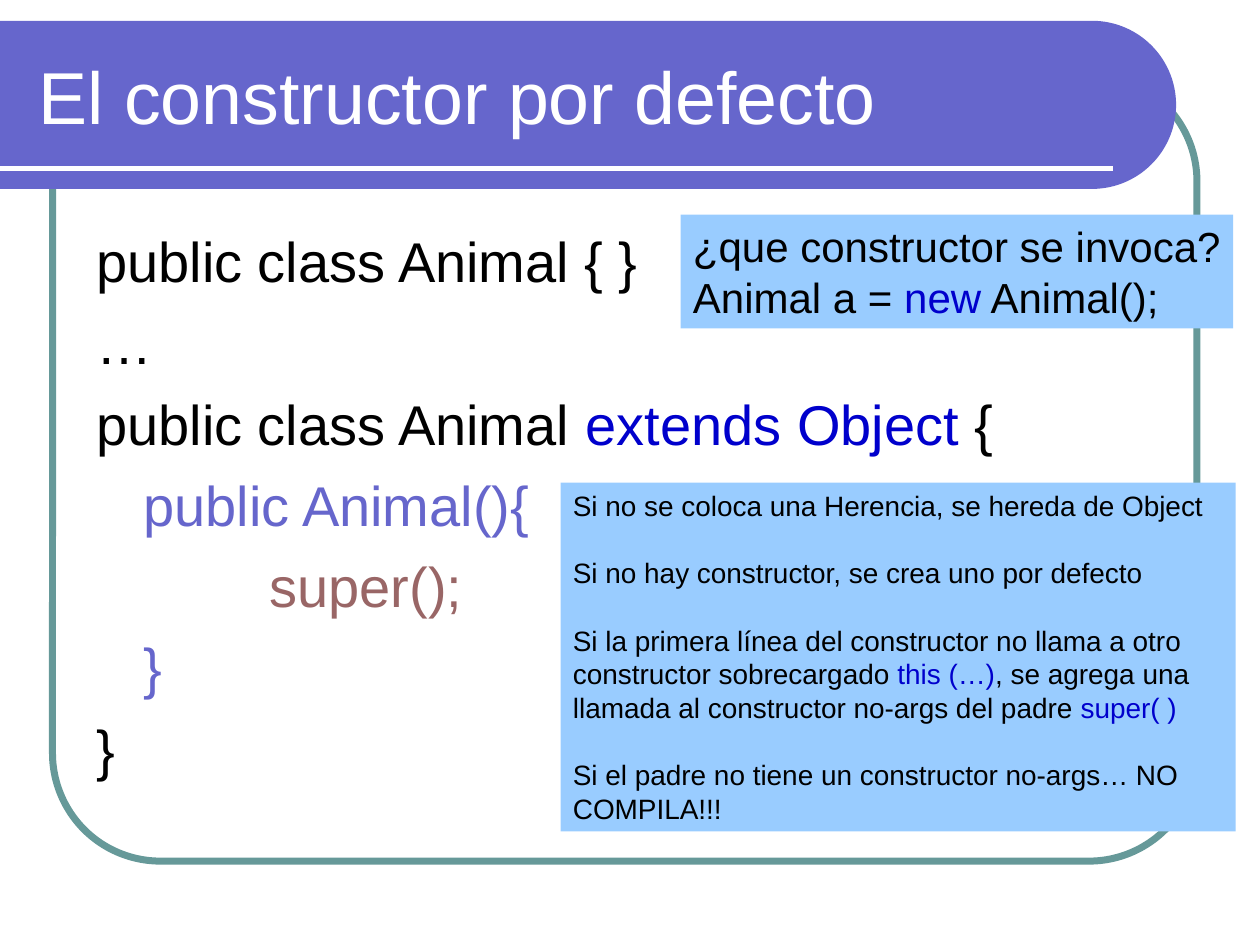
import math
from dataclasses import dataclass

from lxml import etree
from pptx import Presentation
from pptx.dml.color import RGBColor
from pptx.enum import shapes as shp
from pptx.enum import text as txt
from pptx.oxml.ns import qn
from pptx.util import Cm, Pt


@dataclass(frozen=True)
class Theme:
    font: str = "Arial"
    band: str = "6666CC"
    frame: str = "669999"
    note: str = "99CCFF"
    white: str = "FFFFFF"
    ink: str = "000000"
    keyword: str = "0000CC"
    call: str = "996666"
    title_size: int = 42
    code_size: int = 32
    question_size: int = 24
    rules_size: int = 16


@dataclass(frozen=True)
class Box:
    left: float
    top: float
    width: float
    height: float

    def lengths(self) -> tuple:
        return Cm(self.left), Cm(self.top), Cm(self.width), Cm(self.height)


@dataclass(frozen=True)
class Line:
    """One paragraph: (text, colour) pieces and its left indent in cm."""
    pieces: tuple
    indent: float = 0


THEME = Theme()
NESTED, DEEP = 0.95, 3.49


def rgb(value: str) -> RGBColor:
    return RGBColor.from_string(value)


def plain(*pieces: str) -> Line:
    """Pieces alternate between ink and keyword colour."""
    colours = (THEME.ink, THEME.keyword)
    return Line(tuple((piece, colours[i % 2]) for i, piece in enumerate(pieces)))


def add_text(slide, box: Box, lines: list[Line], *, size: int, fill: str = "",
             wrap: bool = True, anchor=txt.MSO_ANCHOR.TOP,
             before: float = 0, spacing: float = 1.0) -> None:
    area = slide.shapes.add_textbox(*box.lengths())
    if fill:
        area.fill.solid()
        area.fill.fore_color.rgb = rgb(fill)
    frame = area.text_frame
    frame.word_wrap = wrap
    frame.vertical_anchor = anchor
    for i, line in enumerate(lines):
        para = frame.paragraphs[0] if i == 0 else frame.add_paragraph()
        para.line_spacing = spacing
        para.space_before = Pt(before if i or fill == "" else 0)
        para._p.get_or_add_pPr().set("marL", str(Cm(line.indent)))
        for piece, colour in line.pieces:
            run = para.add_run()
            run.text = piece
            run.font.name = THEME.font
            run.font.size = Pt(size)
            run.font.color.rgb = rgb(colour)


def add_frame(slide, box: Box) -> None:
    frame = slide.shapes.add_shape(shp.MSO_SHAPE.ROUNDED_RECTANGLE, *box.lengths())
    frame.adjustments[0] = 0.137
    frame.shadow.inherit = False
    frame.fill.background()
    frame.line.color.rgb = rgb(THEME.frame)
    frame.line.width = Pt(4)


def add_band(slide, box: Box) -> None:
    """Title band, square on the left and half round on the right."""
    radius = box.height / 2
    centre_x, centre_y = box.left + box.width - radius, box.top + radius
    arc = [(Cm(centre_x + radius * math.cos(math.radians(a))),
            Cm(centre_y + radius * math.sin(math.radians(a))))
           for a in range(-90, 91, 3)]
    outline = slide.shapes.build_freeform(Cm(box.left), Cm(box.top))
    outline.add_line_segments(arc + [(Cm(box.left), Cm(box.top + box.height))])
    band = outline.convert_to_shape()
    band.shadow.inherit = False
    band.fill.solid()
    band.fill.fore_color.rgb = rgb(THEME.band)
    band.line.fill.background()


def add_rule(slide, right: float, y: float) -> None:
    rule = slide.shapes.add_connector(
        shp.MSO_CONNECTOR.STRAIGHT, Cm(0), Cm(y), Cm(right), Cm(y))
    rule.line.color.rgb = rgb(THEME.white)
    rule.line.width = Pt(3)
    etree.SubElement(rule._element.spPr, qn("a:effectLst"))


def main() -> None:
    deck = Presentation()
    deck.slide_width, deck.slide_height = Cm(25.4), Cm(19.05)
    slide = deck.slides.add_slide(deck.slide_layouts[6])

    add_frame(slide, Box(1.06, 1.48, 23.07, 15.88))
    add_band(slide, Box(0, 0.42, 23.71, 3.39))
    add_rule(slide, right=22.44, y=3.39)

    add_text(slide, Box(0.53, 0.64, 22.28, 2.54),
             [Line((("El constructor por defecto", THEME.white),))],
             size=THEME.title_size, anchor=txt.MSO_ANCHOR.MIDDLE)

    add_text(slide, Box(1.69, 4.45, 22.01, 12.28), [
        plain("public class Animal { }"),
        plain("…"),
        plain("public class Animal ", "extends Object", " {"),
        Line((("public Animal(){", THEME.band),), NESTED),
        Line((("super();", THEME.call),), DEEP),
        Line((("}", THEME.band),), NESTED),
        plain("}"),
    ], size=THEME.code_size, before=8)

    add_text(slide, Box(13.72, 4.33, 11.14, 2.29), [
        plain("¿que constructor se invoca?"),
        plain("Animal a = ", "new", " Animal();"),
    ], size=THEME.question_size, fill=THEME.note, wrap=False)

    add_text(slide, Box(11.3, 9.73, 13.61, 7.03), [
        plain("Si no se coloca una Herencia, se hereda de Object"),
        plain("Si no hay constructor, se crea uno por defecto"),
        plain("Si la primera línea del constructor no llama a otro constructor sobrecargado ",
              "this (…)", ", se agrega una llamada al constructor no-args del padre ",
              "super( )"),
        plain("Si el padre no tiene un constructor no-args… NO COMPILA!!!"),
    ], size=THEME.rules_size, fill=THEME.note, before=19.2)

    deck.save("out.pptx")


if __name__ == "__main__":
    main()
